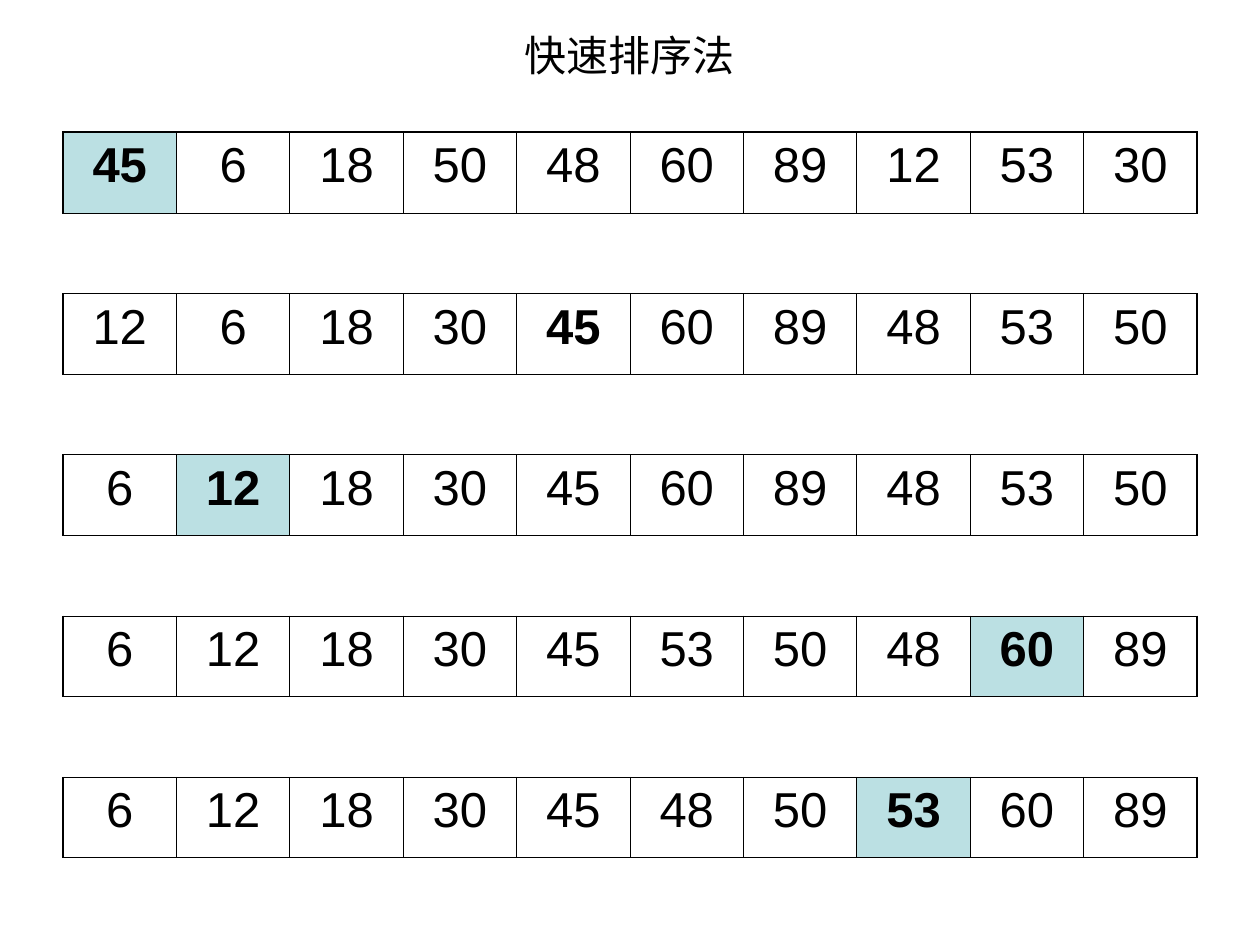
"""Builds a slide that traces quicksort passes over ten numbers."""
import pptx
import pptx.dml.color
import pptx.enum.text
import pptx.oxml
import pptx.oxml.ns
import pptx.util

COLORS = {"ink": "000000", "pivot": "BBE0E3"}
FONT = "Arial"
WIDTH, HEIGHT = 10, 7.5
COL, ROW = 0.9, 0.64
THIN, THICK = 0.45, 1.08
NO_STYLE = "{2D5ABB26-0587-4C30-8999-92F81FD0307C}"
PASSES = [
    ([45, 6, 18, 50, 48, 60, 89, 12, 53, 30], 45, True),
    ([12, 6, 18, 30, 45, 60, 89, 48, 53, 50], 45, False),
    ([6, 12, 18, 30, 45, 60, 89, 48, 53, 50], 12, True),
    ([6, 12, 18, 30, 45, 53, 50, 48, 60, 89], 60, True),
    ([6, 12, 18, 30, 45, 48, 50, 53, 60, 89], 53, True),
]


def rgb(name):
    """Return the named colour."""
    return pptx.dml.color.RGBColor.from_string(COLORS[name])


def set_text(tf, text, size, bold=False):
    """Write one centred paragraph and format its run."""
    tf.text = text
    p = tf.paragraphs[0]
    p.alignment = pptx.enum.text.PP_ALIGN.CENTER
    font = p.runs[0].font
    font.name, font.size, font.bold = FONT, pptx.util.Pt(size), bold
    font.color.rgb = rgb("ink")


def set_borders(cell, widths):
    """Draw solid borders, given as widths in points by side."""
    for side in "LRTB":
        if side in widths:
            cell._tc.get_or_add_tcPr().append(pptx.oxml.parse_xml(
                f'<a:ln{side} {pptx.oxml.ns.nsdecls("a")} w="{pptx.util.Pt(widths[side])}">'
                f'<a:solidFill><a:srgbClr val="{COLORS["ink"]}"/></a:solidFill>'
                f'</a:ln{side}>'))


def add_title(s, text):
    """Add the centred title."""
    box = s.shapes.add_textbox(*map(pptx.util.Inches, (2.16, 0, 5.67, 0.87)))
    tf = box.text_frame
    tf.word_wrap = True
    tf.vertical_anchor = pptx.enum.text.MSO_ANCHOR.MIDDLE
    set_text(tf, text, 24)


def add_passes(s, passes):
    """Add a table with one pass on every other row."""
    cols, rows = len(passes[0][0]), 2 * len(passes)
    frame = s.shapes.add_table(
        rows, cols, pptx.util.Inches((WIDTH - cols * COL) / 2), pptx.util.Inches(1.05),
        pptx.util.Inches(cols * COL), pptx.util.Inches(rows * ROW))
    table = frame.table
    table.first_row = table.horz_banding = False
    table._tbl.tblPr.find(pptx.oxml.ns.qn("a:tableStyleId")).text = NO_STYLE
    for column in table.columns:
        column.width = pptx.util.Inches(COL)
    for row in table.rows:
        row.height = pptx.util.Inches(ROW)
    for i, (values, pivot, shaded) in enumerate(passes):
        for j, value in enumerate(values):
            cell = table.cell(2 * i, j)
            set_text(cell.text_frame, str(value), 28, value == pivot)
            set_borders(cell, {
                "L": THICK if j == 0 else THIN,
                "R": THICK if j == cols - 1 else THIN,
                "T": THICK if i == 0 else THIN,
                "B": THIN})
            if shaded and value == pivot:
                cell.fill.solid()
                cell.fill.fore_color.rgb = rgb("pivot")
            else:
                cell.fill.background()
            gap = table.cell(2 * i + 1, j)
            last = i == len(passes) - 1
            set_borders(gap, {"T": THIN} if last else {"T": THIN, "B": THIN})
            gap.fill.background()


def main():
    """Build and save the slide."""
    prs = pptx.Presentation()
    prs.slide_width = pptx.util.Inches(WIDTH)
    prs.slide_height = pptx.util.Inches(HEIGHT)
    s = prs.slides.add_slide(prs.slide_layouts[6])
    add_passes(s, PASSES)
    add_title(s, "快速排序法")
    prs.save("out.pptx")


if __name__ == "__main__":
    main()
